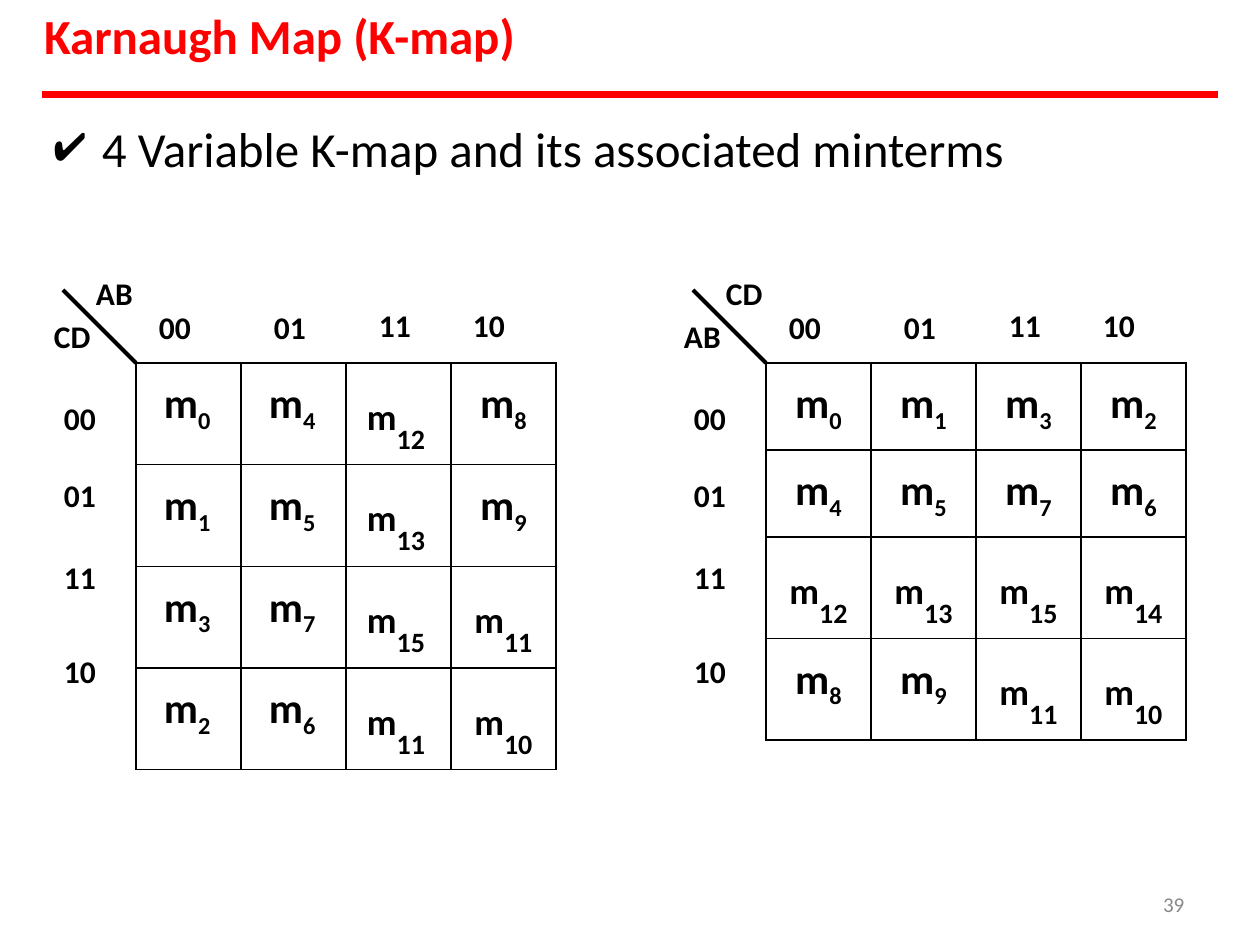
"""Build the slide on four-variable Karnaugh maps and their minterms."""
from dataclasses import dataclass

from lxml import etree
from pptx import Presentation
from pptx.dml.color import RGBColor
from pptx.enum.shapes import MSO_CONNECTOR
from pptx.enum.text import MSO_ANCHOR, MSO_AUTO_SIZE, PP_ALIGN
from pptx.oxml.ns import qn
from pptx.util import Emu, Pt

STRAIGHT = MSO_CONNECTOR.STRAIGHT
TOP = MSO_ANCHOR.TOP
FIT = MSO_AUTO_SIZE.SHAPE_TO_FIT_TEXT
LEFT, CENTER = PP_ALIGN.LEFT, PP_ALIGN.CENTER


@dataclass(frozen=True)
class Theme:
    font: str = "Calibri"
    accent: str = "FF0000"
    ink: str = "000000"
    muted: str = "888888"
    heading: int = 28
    label: int = 18
    minterm: int = 24
    raised: int = 36
    index: int = 16
    number: int = 12


T = Theme()
TITLE = "Karnaugh Map (K-map)"
POINT = "4 Variable K-map and its associated minterms"
NUMBER = "39"
CODES = ["00", "01", "11", "10"]
MAPS = [
    {"x": 136, "across": "AB", "down": "CD", "indents": [28, 28, 21, None],
     "minterms": [[0, 4, 12, 8], [1, 5, 13, 9], [3, 7, 15, 11], [2, 6, 11, 10]]},
    {"x": 766, "across": "CD", "down": "AB", "indents": [None] * 4,
     "minterms": [[0, 1, 3, 2], [4, 5, 7, 6], [12, 13, 15, 14], [8, 9, 11, 10]]},
]
MAP_Y, CELL_W, CELL_H, CORNER = 363, 105, 87, 73
COLUMN_SPOTS = [(22, 307), (137, 307), (242, 305), (336, 305)]
ROW_TOPS = [398, 475, 557, 651]


def px(n):
    return Emu(round(n * 914400 / 126))


def inset(box, top):
    box.margin_left = box.margin_right = box.margin_bottom = 0
    box.margin_top = px(top)


def write(tf, text, size=T.label, color=T.ink, bold=True, sub="", sub_size=None,
          base=0, sub_base=0, align=LEFT, indent=0, hang=0, bullet=None, spacing=None):
    p = tf.paragraphs[0]
    p.alignment = align
    pPr = p._p.get_or_add_pPr()
    pPr.set("marL", str(px(indent)))
    pPr.set("indent", str(px(hang)))
    if bullet:
        clr = etree.SubElement(pPr, qn("a:buClr"))
        etree.SubElement(clr, qn("a:srgbClr"), val=color)
        etree.SubElement(pPr, qn("a:buChar"), char=bullet)
    if spacing:
        p.line_spacing = spacing
    for part, pt, shift in ((text, size, base), (sub, sub_size or size, sub_base)):
        if part:
            r = p.add_run()
            r.text = part
            r.font.name, r.font.size, r.font.bold = T.font, Pt(pt), bold
            r.font.color.rgb = RGBColor.from_string(color)
            if shift:
                r._r.get_or_add_rPr().set("baseline", str(shift * 1000))


def fill_box(sp, text, box, top=1, **fmt):
    sp.left, sp.top, sp.width, sp.height = map(px, box)
    tf = sp.text_frame
    tf.word_wrap, tf.auto_size, tf.vertical_anchor = True, FIT, TOP
    inset(tf, top)
    write(tf, text, **fmt)


def add_text(s, text, box, **fmt):
    fill_box(s.shapes.add_textbox(0, 0, 0, 0), text, box, **fmt)


def add_line(s, start, end, color, width):
    line = s.shapes.add_connector(STRAIGHT, *map(px, start + end))
    line.line.color.rgb = RGBColor.from_string(color)
    line.line.width = Pt(width)
    etree.SubElement(line._element.spPr, qn("a:effectLst"))


def add_borders(cell):
    tcPr = cell._tc.get_or_add_tcPr()
    for i, side in enumerate("LRTB"):
        ln = etree.Element(qn(f"a:ln{side}"), w=str(Pt(1)))
        solid = etree.SubElement(ln, qn("a:solidFill"))
        etree.SubElement(solid, qn("a:srgbClr"), val=T.ink)
        tcPr.insert(i, ln)


def fill_cell(cell, minterm, indent):
    cell.fill.background()
    add_borders(cell)
    cell.vertical_anchor = TOP
    if minterm < 10:
        inset(cell, 16)
        fmt = dict(size=T.minterm, sub_base=-25)
    else:
        inset(cell, 26)
        fmt = dict(size=T.raised, base=30, sub_size=T.index)
    write(cell.text_frame, "m", sub=str(minterm), indent=indent or 0,
          align=CENTER if indent is None else LEFT, **fmt)


def add_map(s, kmap):
    x, rows = kmap["x"], kmap["minterms"]
    n = len(rows)
    table = s.shapes.add_table(n, n, px(x), px(MAP_Y), px(n * CELL_W), px(n * CELL_H)).table
    table.first_row = table.horz_banding = False
    for i, row in enumerate(rows):
        table.columns[i].width, table.rows[i].height = px(CELL_W), px(CELL_H)
        for j, minterm in enumerate(row):
            fill_cell(table.cell(i, j), minterm, kmap["indents"][j])
    add_line(s, (x, MAP_Y), (x - CORNER, MAP_Y - CORNER), T.ink, 2.25)
    add_text(s, kmap["across"], (x - 41, 273, 41, 42), indent=1)
    add_text(s, kmap["down"], (x - 83, 316, 41, 42), indent=1)
    for code, (dx, y), row_y in zip(CODES, COLUMN_SPOTS, ROW_TOPS):
        add_text(s, code, (x + dx, y, 36, 42), indent=1)
        add_text(s, code, (x - CORNER, row_y, 36, 42), indent=1)


def main():
    prs = Presentation()
    prs.slide_width, prs.slide_height = px(1260), px(945)
    s = prs.slides.add_slide(prs.slide_layouts[5])
    add_line(s, (42, 95), (1218, 95), T.accent, 4)
    fill_box(s.shapes.title, TITLE, (43, 4, 476, 63), size=T.heading, color=T.accent, indent=1)
    for kmap in MAPS:
        add_map(s, kmap)
    add_text(s, NUMBER, (1158, 891, 32, 24), top=0, size=T.number, color=T.muted,
             bold=False, indent=5, spacing=1.03)
    add_text(s, POINT, (53, 117, 955, 63), top=2, size=T.heading, bold=False,
             indent=49, hang=-48, bullet="✔")
    prs.save("out.pptx")


if __name__ == "__main__":
    main()
